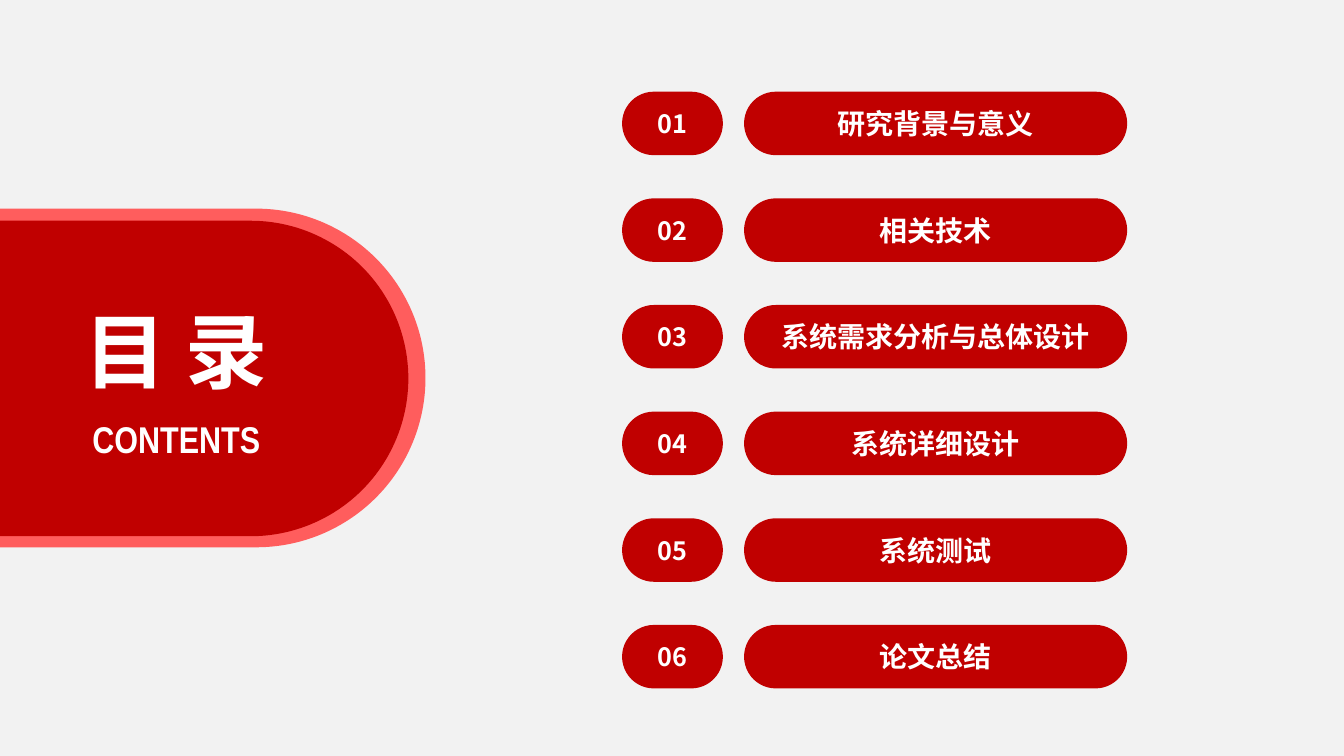
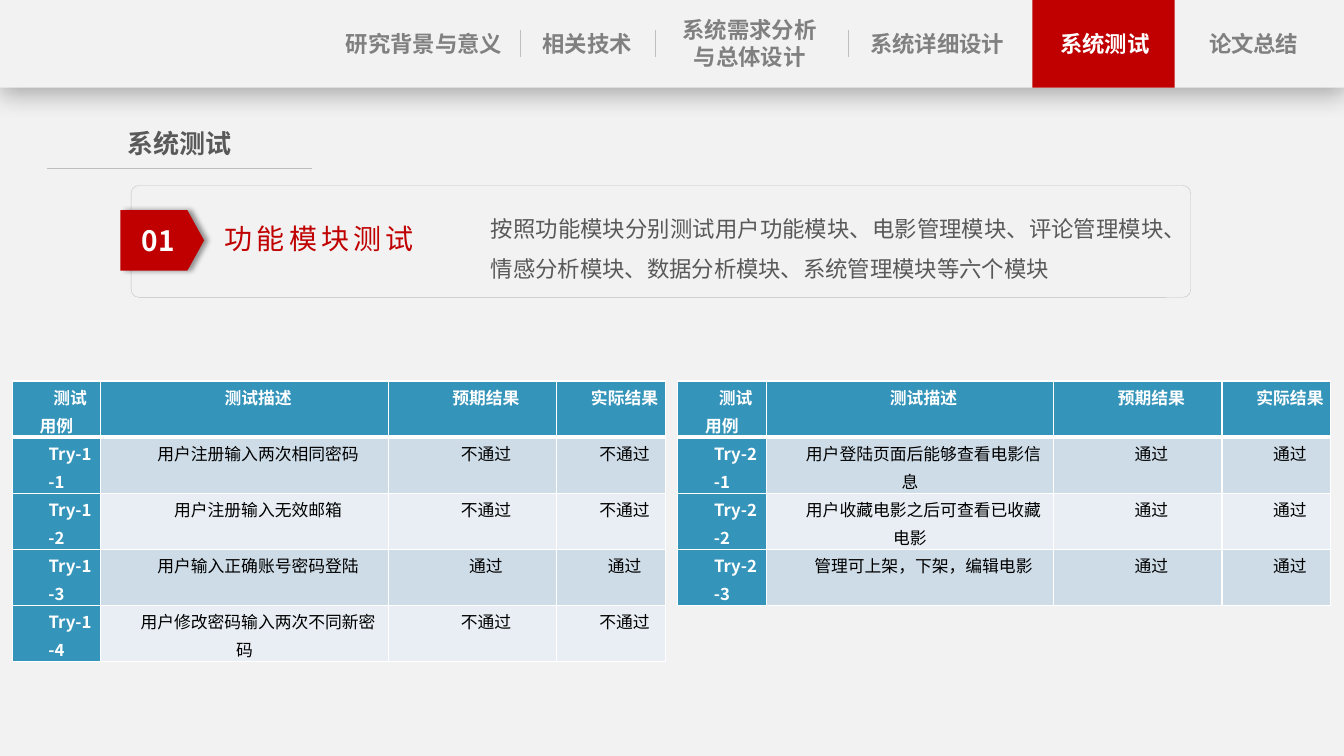
from lxml.etree import SubElement
from pptx import Presentation
from pptx.dml.color import RGBColor
from pptx.enum.shapes import MSO_CONNECTOR, MSO_SHAPE
from pptx.enum.text import MSO_ANCHOR, MSO_AUTO_SIZE, PP_ALIGN
from pptx.oxml.ns import qn
from pptx.util import Inches, Pt

INK = {
    "red": "C00000", "rose": "FF5D5D", "paper": "F2F2F2", "white": "FFFFFF",
    "black": "000000", "dark": "595959", "gray": "808080", "rule": "BFBFBF",
    "blue": "3494BA", "band": "CEDCE7", "pale": "E8EEF3",
}
FONT = "Noto Sans CJK SC"
WIDE, HIGH = 13.33, 7.5
BAR = 0.87
PARTS = ["研究背景与意义", "相关技术", "系统需求分析与总体设计",
         "系统详细设计", "系统测试", "论文总结"]
TABS = [(3.37, 1.67, 0.38), (5.09, 1.47, 0.38), (6.7, 1.47, 0.64),
        (8.56, 1.47, 0.38), (10.34, 1.24, 0.38), (11.7, 1.47, 0.38)]
HEAD = ["测试用例", "测试描述", "预期结果", "实际结果"]
COLS = [0.88, 2.85, 1.67, 1.08]
USERS = [
    ["Try-1-1", "用户注册输入两次相同密码", "不通过", "不通过"],
    ["Try-1-2", "用户注册输入无效邮箱", "不通过", "不通过"],
    ["Try-1-3", "用户输入正确账号密码登陆", "通过", "通过"],
    ["Try-1-4", "用户修改密码输入两次不同新密码", "不通过", "不通过"],
]
FILMS = [
    ["Try-2-1", "用户登陆页面后能够查看电影信息", "通过", "通过"],
    ["Try-2-2", "用户收藏电影之后可查看已收藏电影", "通过", "通过"],
    ["Try-2-3", "管理可上架，下架，编辑电影", "通过", "通过"],
]


def tint(name):
    """Return the named colour."""
    return RGBColor.from_string(INK[name])


def span(box):
    """Turn a tuple of inches into lengths."""
    return [Inches(n) for n in box]


def write(frame, text, size=16, ink="white", bold=False, font=FONT,
          align=PP_ALIGN.CENTER, lead=None, space=None, indent=None):
    """Write one formatted paragraph into a text frame."""
    para = frame.paragraphs[0]
    para.alignment = align
    if lead:
        para.line_spacing = lead
    if indent:
        props = para._p.get_or_add_pPr()
        props.set("marL", "0")
        props.set("indent", str(Inches(indent)))
    run = para.add_run()
    run.text = text
    run.font.size = Pt(size)
    run.font.bold = bold
    run.font.color.rgb = tint(ink)
    run.font.name = font
    props = run._r.get_or_add_rPr()
    SubElement(props, qn("a:ea"), typeface=font)
    if space:
        props.set("spc", str(space * 100))


def fit(frame, pad=0.1, wrap=True, anchor=MSO_ANCHOR.TOP):
    """Set the margins, wrapping and anchor of a text frame."""
    frame.auto_size = MSO_AUTO_SIZE.NONE
    frame.word_wrap = wrap
    frame.vertical_anchor = anchor
    frame.margin_left = frame.margin_right = Inches(pad)


def note(shapes, box, text, pad=0.1, wrap=True, anchor=MSO_ANCHOR.TOP, **style):
    """Add a text box."""
    frame = shapes.add_textbox(*span(box)).text_frame
    fit(frame, pad, wrap, anchor)
    write(frame, text, **style)


def title(slide, box, text, pad=0.1, wrap=True, **style):
    """Place the title above the shapes drawn so far."""
    head = slide.shapes.title
    head.left, head.top, head.width, head.height = span(box)
    head.element.getparent().append(head.element)
    fit(head.text_frame, pad, wrap)
    write(head.text_frame, text, bold=True, **style)


def block(shapes, kind, box, fill="red", edge=None, round=None):
    """Add a filled shape without a shadow."""
    shape = shapes.add_shape(kind, *span(box))
    shape.shadow.inherit = False
    shape.fill.solid()
    shape.fill.fore_color.rgb = tint(fill)
    if edge:
        shape.line.color.rgb = tint(edge)
        shape.line.width = Pt(0.25)
    else:
        shape.line.fill.background()
    if round is not None:
        shape.adjustments[0] = round
    return shape


def pill(shapes, box, text=None, fill="red", size=20):
    """Add a fully rounded bar, with a label if given."""
    shape = block(shapes, MSO_SHAPE.ROUNDED_RECTANGLE, box, fill, round=0.5)
    if text:
        fit(shape.text_frame, anchor=MSO_ANCHOR.MIDDLE)
        write(shape.text_frame, text, size=size, bold=True)


def shade(shape, alpha, blur, dist, angle):
    """Give a shape a soft black shadow."""
    list_ = shape._element.spPr.find(qn("a:effectLst"))
    drop = SubElement(list_, qn("a:outerShdw"), blurRad=str(Pt(blur)),
                      dist=str(Pt(dist)), dir=str(angle * 60000),
                      algn="ctr", rotWithShape="0")
    color = SubElement(drop, qn("a:srgbClr"), val=INK["black"])
    SubElement(color, qn("a:alpha"), val=str(alpha * 1000))


def rule(shapes, start, end):
    """Draw a thin gray line."""
    line = shapes.add_connector(MSO_CONNECTOR.STRAIGHT, *span(start + end))
    line.line.color.rgb = tint("rule")
    line.line.width = Pt(0.5)
    SubElement(line._element.spPr, qn("a:effectLst"))


def frame_cell(cell, row):
    """Draw white borders, heavy below the table head."""
    props = cell._tc.get_or_add_tcPr()
    heavy = {"lnB": 0, "lnT": 1}
    for side in ("lnL", "lnR", "lnT", "lnB"):
        width = 3 if heavy.get(side) == row else 1
        edge = SubElement(props, qn("a:" + side), w=str(Pt(width)))
        fill = SubElement(edge, qn("a:solidFill"))
        SubElement(fill, qn("a:srgbClr"), val=INK["white"])


def grid(shapes, left, rows):
    """Add a table of test cases."""
    rows = [HEAD] + rows
    box = (left, 3.78, sum(COLS), 0.53 * len(rows))
    table = shapes.add_table(len(rows), len(COLS), *span(box)).table
    for col, width in zip(table.columns, COLS):
        col.width = Inches(width)
    for r, row in enumerate(rows):
        for c, text in enumerate(row):
            cell = table.cell(r, c)
            lead = r == 0 or c == 0
            cell.margin_left = cell.margin_right = Inches(0.07)
            cell.margin_top = cell.margin_bottom = 0
            frame_cell(cell, r)
            cell.fill.solid()
            fill = "blue" if lead else "band" if r % 2 else "pale"
            cell.fill.fore_color.rgb = tint(fill)
            write(cell.text_frame, text, size=12, bold=lead, lead=Pt(20),
                  ink="white" if lead else "black", indent=0.27)


def menu(shapes, now):
    """Draw the top bar with the current part marked."""
    bar = block(shapes, MSO_SHAPE.RECTANGLE, (0, 0, WIDE, BAR), "paper")
    shade(bar, 29, 18, 4, 90)
    block(shapes, MSO_SHAPE.RECTANGLE, (10.24, 0, 1.41, BAR))
    for x in (5.16, 6.5, 8.41):
        rule(shapes, (x, 0.3), (x, 0.57))
    for part, (left, width, high) in zip(PARTS, TABS):
        note(shapes, (left, (BAR - high) / 2, width, high), part, pad=0,
             bold=True, ink="white" if part == now else "gray")


def card(shapes):
    """Draw the numbered summary card."""
    block(shapes, MSO_SHAPE.ROUNDED_RECTANGLE, (1.3, 1.84, 10.51, 1.11),
          "paper", "rule", 0.07)
    flag = block(shapes, MSO_SHAPE.FLOWCHART_OFFPAGE_CONNECTOR,
                 (1.31, 1.97, 0.6, 0.83))
    flag.rotation = 270
    shade(flag, 40, 4, 3, 0)
    note(shapes, (2.13, 2.13, 2.77, 0.47), "功能模块测试", size=20, ink="red",
         anchor=MSO_ANCHOR.MIDDLE, align=PP_ALIGN.LEFT, space=3)
    note(shapes, (4.77, 1.95, 7.1, 0.86),
         "按照功能模块分别测试用户功能模块、电影管理模块、评论管理模块、"
         "情感分析模块、数据分析模块、系统管理模块等六个模块",
         ink="dark", align=PP_ALIGN.JUSTIFY, lead=1.5)
    note(shapes, (1.21, 2.17, 0.72, 0.44), "01", size=20, bold=True)


def agenda(slide):
    """Build the contents slide."""
    shapes = slide.shapes
    pill(shapes, (-1.96, 2.07, 6.18, 3.36), fill="rose")
    pill(shapes, (-1.7, 2.19, 5.75, 3.13))
    for n, part in enumerate(PARTS):
        top = 0.91 + 1.058 * n
        pill(shapes, (6.17, top, 1, 0.63), f"{n + 1:02}", size=18)
        pill(shapes, (7.38, top, 3.8, 0.63), part)
    note(shapes, (0.62, 4.08, 2.26, 0.55), "CONTENTS", wrap=False,
         size=26.6, bold=True, font="Arial Narrow")
    title(slide, (0.7, 2.93, 2.09, 1.09), "目 录", wrap=False, size=58.6)


def tests(slide):
    """Build the test results slide."""
    shapes = slide.shapes
    rule(shapes, (0.47, 1.67), (3.09, 1.67))
    title(slide, (0.75, 1.21, 2.07, 0.42), PARTS[4], pad=0, size=18.6,
          ink="dark")
    menu(shapes.add_group_shape().shapes, PARTS[4])
    grid(shapes, 0.12, USERS)
    grid(shapes, 6.72, FILMS)
    card(shapes.add_group_shape().shapes)


def main():
    """Build and save the deck."""
    deck = Presentation()
    deck.slide_width, deck.slide_height = span((WIDE, HIGH))
    back = deck.slide_master.background.fill
    back.solid()
    back.fore_color.rgb = tint("paper")
    for build in (agenda, tests):
        build(deck.slides.add_slide(deck.slide_layouts[5]))
    deck.save("out.pptx")


if __name__ == "__main__":
    main()
